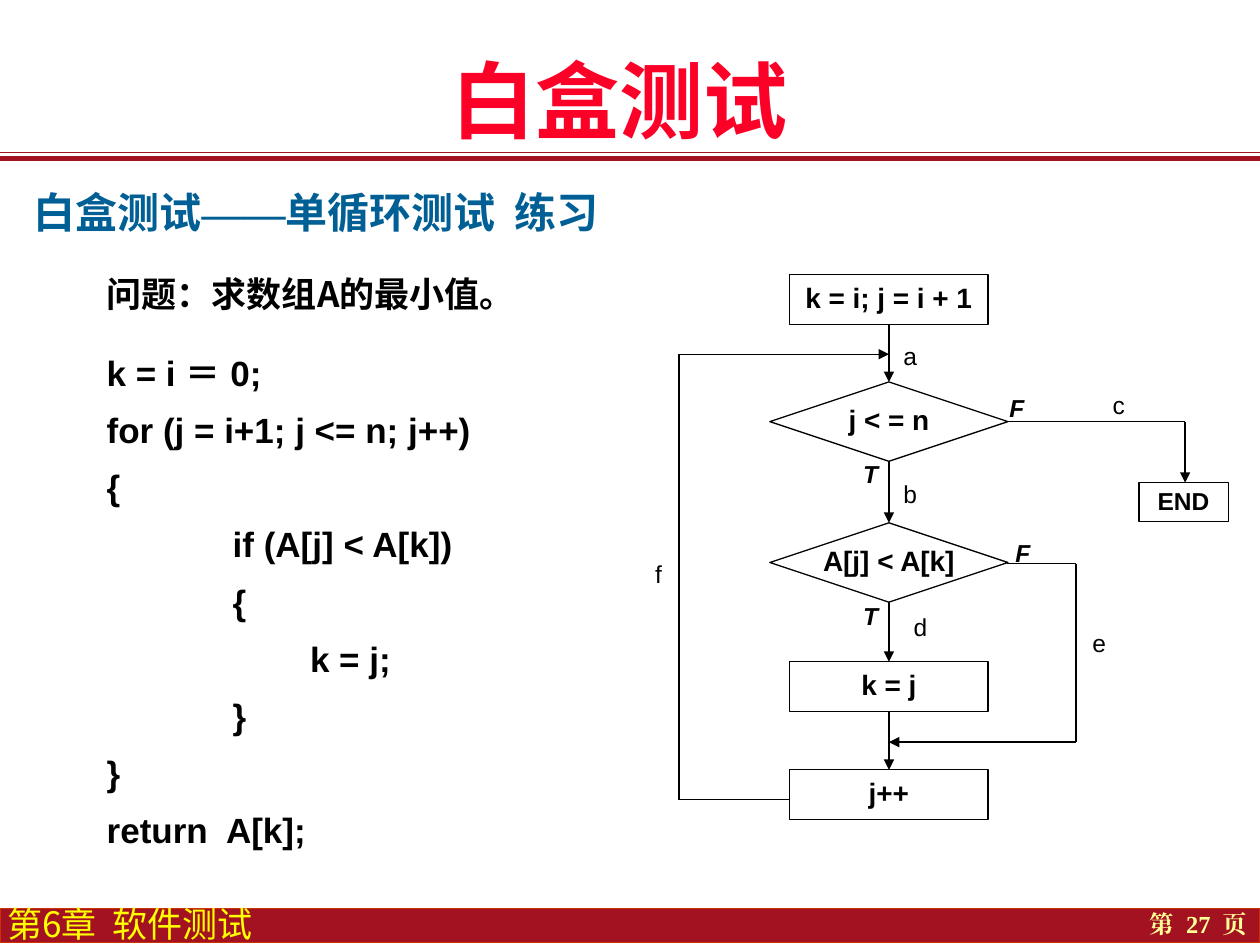
from dataclasses import dataclass

from lxml import etree
from pptx import Presentation
from pptx import util as u
from pptx.dml.color import RGBColor
from pptx.enum import shapes, text
from pptx.oxml.ns import qn


@dataclass(frozen=True)
class Theme:
    red: str = "FC0128"
    blue: str = "005F94"
    band: str = "A31221"
    edge: str = "CC3300"
    gold: str = "FFFF00"
    pale: str = "FFFF99"
    ink: str = "000000"
    title: int = 48
    head: int = 24
    body: int = 20
    node: int = 16
    small: int = 14
    hair: float = 0.75
    rule: float = 3
    hei: str = "Noto Sans CJK SC"
    sans: str = "Arial"
    serif: str = "Times New Roman"


T = Theme()
LEFT, MID, RIGHT = text.PP_ALIGN.LEFT, text.PP_ALIGN.CENTER, text.PP_ALIGN.RIGHT
RECT, GEM = shapes.MSO_SHAPE.RECTANGLE, shapes.MSO_SHAPE.DIAMOND
ANCHOR = text.MSO_ANCHOR


def place(shape, box):
    shape.left, shape.top, shape.width, shape.height = map(u.Cm, box)


def face(font, name):
    """Set one typeface for Latin and East Asian text."""
    font.name = name
    etree.SubElement(font._rPr, qn("a:ea"), typeface=name)


def style(para, size, color, name=None, bold=False, align=LEFT, lines=None):
    para.alignment = align
    para.line_spacing = lines
    para.font.size = u.Pt(size)
    para.font.bold = bold
    para.font.color.rgb = RGBColor.from_string(color)
    if name:
        face(para.font, name)


def setup(frame, pad=0.0, anchor=ANCHOR.MIDDLE):
    frame.word_wrap = True
    frame.auto_size = text.MSO_AUTO_SIZE.NONE
    frame.vertical_anchor = anchor
    frame.margin_left = frame.margin_right = u.Cm(pad)
    frame.margin_top = frame.margin_bottom = u.Cm(pad / 2)


def write(slide, box, words, pad=0.0, anchor=ANCHOR.MIDDLE, **look):
    area = slide.shapes.add_textbox(*map(u.Cm, box))
    setup(area.text_frame, pad, anchor)
    para = area.text_frame.paragraphs[0]
    para.text = words
    style(para, **look)
    return area


def block(slide, kind, box, fill=None, line=T.ink):
    shape = slide.shapes.add_shape(kind, *map(u.Cm, box))
    shape.shadow.inherit = False
    if fill:
        shape.fill.solid()
        shape.fill.fore_color.rgb = RGBColor.from_string(fill)
    else:
        shape.fill.background()
    shape.line.color.rgb = RGBColor.from_string(line)
    shape.line.width = u.Pt(T.hair)
    return shape


def route(slide, points, color=T.ink, width=T.hair, arrow=True):
    """Join the points with straight lines, the last one with an arrowhead."""
    for start, end in zip(points, points[1:]):
        line = slide.shapes.add_connector(
            shapes.MSO_CONNECTOR.STRAIGHT, *map(u.Cm, start + end))
        line.line.color.rgb = RGBColor.from_string(color)
        line.line.width = u.Pt(width)
        etree.SubElement(line._element.spPr, qn("a:effectLst"))
    if arrow:
        etree.SubElement(line.line._get_or_add_ln(), qn("a:tailEnd"),
                         type="triangle")


def header(slide, box):
    x, y, w, h = box
    title = slide.shapes.title
    place(title, (x + 6.55, y + 0.84, 11.86, 2.29))
    setup(title.text_frame, 0.25)
    para = title.text_frame.paragraphs[0]
    para.text = "白盒测试"
    style(para, T.title, T.red, T.hei, True, MID)
    # Double rule below the title
    for drop, width in ((0.13, T.hair), (0, T.rule)):
        level = y + h - drop
        route(slide, [(x, level), (x + w, level)], T.band, width, arrow=False)


def topic(slide, box):
    area = write(slide, box, "", pad=0.25, size=T.head, color=T.blue,
                 bold=True, lines=1.1)
    para = area.text_frame.paragraphs[0]
    for words, name in (("白盒测试", T.hei), ("——", T.serif),
                        ("单循环测试  练习", T.hei)):
        run = para.add_run()
        run.text = words
        face(run.font, name)


def code(slide, box):
    body = slide.placeholders[1]
    place(body, box)
    frame = body.text_frame
    setup(frame, 0.25, ANCHOR.TOP)
    # Each line with its indent in cm
    lines = [("问题：求数组A的最小值。", 0), ("k = i ＝ 0;", 0),
             ("for (j = i+1; j <= n; j++)", 0), ("{", 0),
             ("if (A[j] < A[k])", 2.54), ("{", 2.54), ("k = j;", 4.1),
             ("}", 2.54), ("}", 0), ("return  A[k];", 0)]
    for i, (words, indent) in enumerate(lines):
        para = frame.paragraphs[0] if i == 0 else frame.add_paragraph()
        para.text = words
        style(para, T.body, T.ink, T.sans if i else T.hei, True,
              lines=0.9 if i else 1.2)
        para.space_before = u.Pt(24 if i == 1 else 0)
        para.space_after = u.Pt(11 if i else 0)
        props = para._p.get_or_add_pPr()
        props.set("marL", str(u.Cm(indent)))
        props.set("indent", "0")
        props.insert_element_before(
            etree.Element(qn("a:buNone")), "a:tabLst", "a:defRPr", "a:extLst")


def chart(slide, box):
    x, y = box[:2]
    axis = 5.83

    def at(*points):
        return [(x + px, y + py) for px, py in points]

    def node(words, kind, left, top, w, h, size=T.node):
        shape = block(slide, kind, (x + left, y + top, w, h))
        setup(shape.text_frame)
        shape.text_frame.word_wrap = False
        para = shape.text_frame.paragraphs[0]
        para.text = words
        style(para, size, T.ink, T.sans, True, MID, 0.9)

    # Main column, each node joined to the next
    last = None
    for words, kind, top in (("k = i; j = i + 1", RECT, 0),
                             ("j < = n", GEM, 2.16),
                             ("A[j] < A[k]", GEM, 5),
                             ("k = j", RECT, 7.8), ("j++", RECT, 9.98)):
        w, h = (4.8, 1.6) if kind == GEM else (4, 1)
        node(words, kind, axis - w / 2, top, w, h)
        if last is not None:
            route(slide, at((axis, last), (axis, top)))
        last = top + h
    node("END", RECT, 10.87, 4.19, 1.8, 0.79, T.small)

    # Loop back, exit and skip branches
    route(slide, at((3.83, 10.58), (1.6, 10.58), (1.6, 1.6), (axis, 1.6)))
    route(slide, at((8.2, 2.96), (11.8, 2.96), (11.8, 4.19)))
    route(slide, at((8.2, 5.82), (9.6, 5.82), (9.6, 9.42), (axis, 9.42)))

    # Edge names, with outcomes T and F in bold italics
    for words, left, top in (("a", 5, 1.4), ("b", 5, 4.19), ("d", 5.21, 6.86),
                             ("c", 9.22, 2.39), ("e", 8.81, 7.19),
                             ("f", 0, 5.79), ("T", 4.19, 3.78),
                             ("T", 4.19, 6.65), ("F", 7.14, 2.46),
                             ("F", 7.26, 5.38)):
        strong = words in "TF"
        label = write(slide, (x + left, y + top, 1.6, 0.53), words,
                      size=T.small, color=T.ink, name=T.sans, bold=strong,
                      lines=0.9)
        label.text_frame.margin_left = u.Cm(1.12)
        label.text_frame.paragraphs[0].font.italic = strong


def footer(slide, box):
    x, y, w, h = box
    block(slide, RECT, box, T.band, T.edge)
    write(slide, (x + 0.15, y + 0.08, 5.77, 0.66), "第6章  软件测试",
          anchor=ANCHOR.BOTTOM, size=T.body, color=T.gold, name=T.hei,
          lines=0.85)
    write(slide, (x + w - 4, y - 0.1, 4, 0.84), "第  27  页", pad=0.25,
          size=T.small, color=T.pale, name=T.serif, bold=True, align=RIGHT)


def main():
    deck = Presentation()
    deck.slide_width, deck.slide_height = u.Cm(25.4), u.Cm(19.05)
    slide = deck.slides.add_slide(deck.slide_layouts[1])
    header(slide, (0, 0, 25.4, 3.2))
    footer(slide, (0, 18.31, 25.4, 0.69))
    code(slide, (1.9, 5.2, 10.2, 12.65))
    topic(slide, (0.43, 3.53, 14.07, 1.37))
    chart(slide, (12.09, 5.54, 12.67, 10.98))
    deck.save("out.pptx")


if __name__ == "__main__":
    main()
